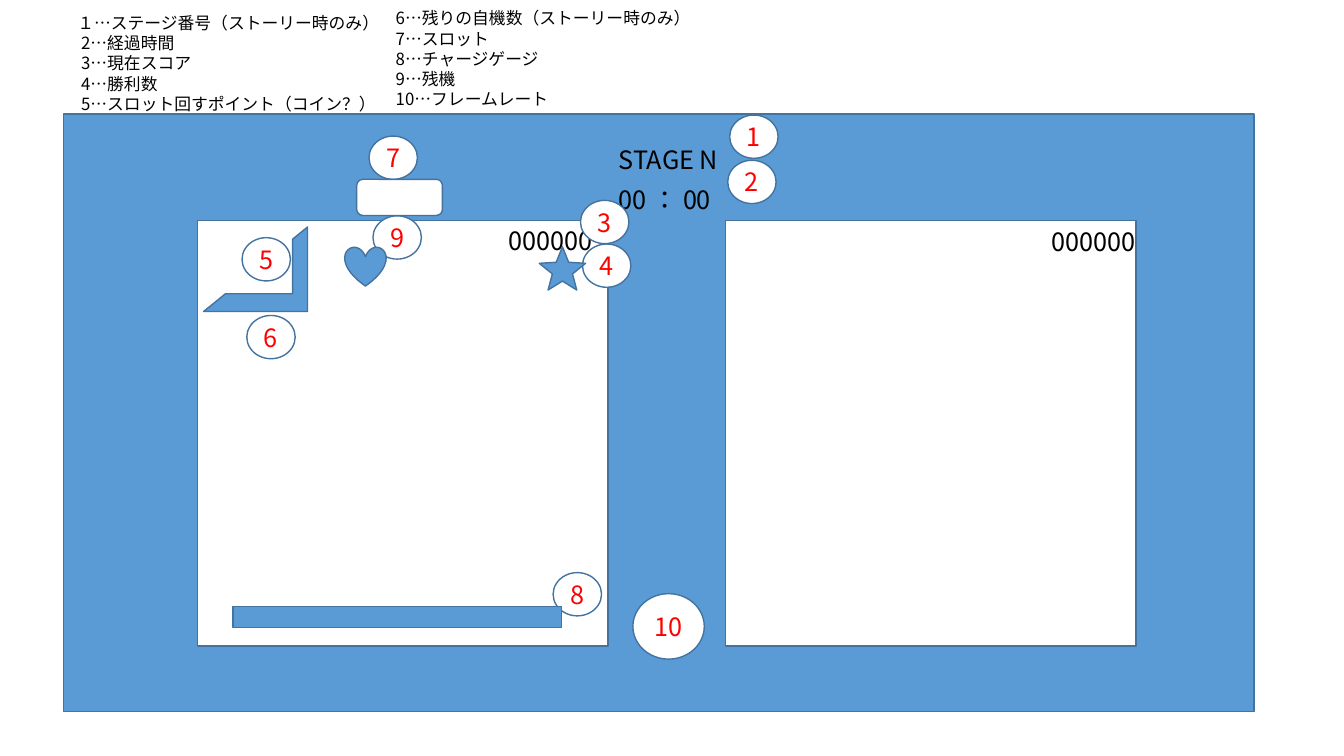
from lxml.etree import SubElement
from pptx import Presentation
from pptx.dml.color import RGBColor
from pptx.enum.shapes import MSO_SHAPE
from pptx.enum.text import MSO_ANCHOR, PP_ALIGN
from pptx.oxml.ns import qn
from pptx.util import Cm, Pt

FONT = "Noto Sans CJK JP"
BLUE, OUTLINE, WHITE, BLACK, RED = "5B9BD5", "43739E", "FFFFFF", "000000", "FF0000"
LINE_PITCH = 1.2

FIELD = (1.6, 2.87, 30, 15.06)
PANEL_SIZE = (10.34, 10.72)
MARKER_SIZE = (1.22, 1.09)
MARKERS = {  # number: left and top inside the field
    "1": (16.79, 0.03), "2": (16.74, 1.17), "3": (13.03, 2.18),
    "4": (13.08, 3.28), "5": (4.5, 3.12), "6": (4.62, 5.08),
    "7": (7.7, 0.56), "8": (12.34, 11.56), "9": (7.8, 2.57),
}
LEGEND_SIZE = (11.66, 2.82)
LEGENDS = [
    ((1.7, 0.2), ["１…ステージ番号（ストーリー時のみ）", " 2…経過時間", " 3…現在スコア",
                  " 4…勝利数", " 5…スロット回すポイント（コイン？）"]),
    ((9.63, 0.08), [" 6…残りの自機数（ストーリー時のみ）", " 7…スロット",
                    " 8…チャージゲージ", " 9…残機", " 10…フレームレート"]),
]


def colour(hex_string):
    """Turn a hex string into a colour."""
    return RGBColor.from_string(hex_string)


def inside(box, left, top, width, height):
    """Place a part relative to the corner of its box."""
    return box[0] + left, box[1] + top, width, height


def write(frame, lines, size, text_colour, align=PP_ALIGN.LEFT):
    """Write one paragraph per line at a fixed line pitch."""
    for index, line in enumerate(lines):
        paragraph = frame.add_paragraph() if index else frame.paragraphs[0]
        paragraph.alignment = align
        paragraph.line_spacing = Pt(size * LINE_PITCH)
        run = paragraph.add_run()
        run.text = line
        for name, value in {"size": Pt(size), "name": FONT}.items():
            setattr(run.font, name, value)
        run.font.color.rgb = colour(text_colour)
        SubElement(run.font._element, qn("a:ea"), typeface=FONT)


def add_label(slide, box, lines, size=18, wrap=True):
    """Add black text in a box."""
    frame = slide.shapes.add_textbox(*map(Cm, box)).text_frame
    frame.word_wrap = wrap
    write(frame, lines, size, BLACK)


def add_part(slide, kind, box, fill, adjustments=(), rotation=0):
    """Add an outlined preset shape."""
    part = slide.shapes.add_shape(kind, *map(Cm, box))
    part.shadow.inherit = False
    part.fill.solid()
    part.fill.fore_color.rgb = colour(fill)
    part.line.color.rgb = colour(OUTLINE)
    part.line.width = Pt(1)
    part.rotation = rotation
    for index, value in enumerate(adjustments):
        part.adjustments[index] = value
    return part


def add_marker(slide, box, number):
    """Add a white circle with a red number."""
    frame = add_part(slide, MSO_SHAPE.OVAL, box, WHITE).text_frame
    layout = {"margin_left": 0, "margin_right": 0, "margin_top": 0, "margin_bottom": 0,
              "word_wrap": False, "vertical_anchor": MSO_ANCHOR.MIDDLE}
    for name, value in layout.items():
        setattr(frame, name, value)
    write(frame, [number], 18, RED, PP_ALIGN.CENTER)


def add_panel(slide, box, score_left, score_top):
    """Add one player's panel with its score."""
    add_part(slide, MSO_SHAPE.RECTANGLE, box, WHITE)
    add_label(slide, inside(box, score_left, score_top, 8.56, 1.02), ["000000"])


def add_markers(slide, field):
    """Number the parts of the field."""
    for number, corner in MARKERS.items():
        add_marker(slide, inside(field, *corner, *MARKER_SIZE), number)
    add_marker(slide, inside(field, 14.35, 12.09, 1.8, 1.65), "10")


def add_gadgets(slide, field):
    """Add the win star, charge gauge, life heart, coin frame and slot."""
    gadgets = [
        (MSO_SHAPE.STAR_5_POINT, (11.99, 3.35, 1.17, 1.09), BLUE, (0.217,), 0),
        (MSO_SHAPE.RECTANGLE, (4.27, 12.42, 8.28, 0.53), BLUE, (), 0),
        (MSO_SHAPE.HEART, (7.09, 3.35, 1.04, 0.99), BLUE, (), 0),
        (MSO_SHAPE.HALF_FRAME, (3.53, 2.85, 2.62, 2.13), BLUE, (0.211, 0.176), 180),
        (MSO_SHAPE.ROUNDED_RECTANGLE, (7.39, 1.65, 2.16, 0.91), WHITE, (), 0),
    ]
    for kind, place, fill, adjustments, rotation in gadgets:
        add_part(slide, kind, inside(field, *place), fill, adjustments, rotation)


def add_field(slide, field):
    """Build the game screen."""
    add_part(slide, MSO_SHAPE.RECTANGLE, field, BLUE)
    for left, score_left, score_top in [(3.38, 7.59, 0), (16.69, 7.97, 0.03)]:
        add_panel(slide, inside(field, left, 2.69, *PANEL_SIZE), score_left, score_top)
    add_label(slide, inside(field, 13.74, 1.65, 8.56, 1.02), ["00 ： 00"])
    add_label(slide, inside(field, 13.74, 0.64, 3.45, 1.02), ["STAGE N "], wrap=False)
    add_markers(slide, field)
    add_gadgets(slide, field)


def add_legends(slide):
    """Explain the numbers in two columns."""
    for corner, lines in LEGENDS:
        add_label(slide, (*corner, *LEGEND_SIZE), lines, size=12)


presentation = Presentation()
presentation.slide_width, presentation.slide_height = Cm(33.87), Cm(19.05)
screen_slide = presentation.slides.add_slide(presentation.slide_layouts[6])
add_field(screen_slide, FIELD)
add_legends(screen_slide)
presentation.save("out.pptx")
